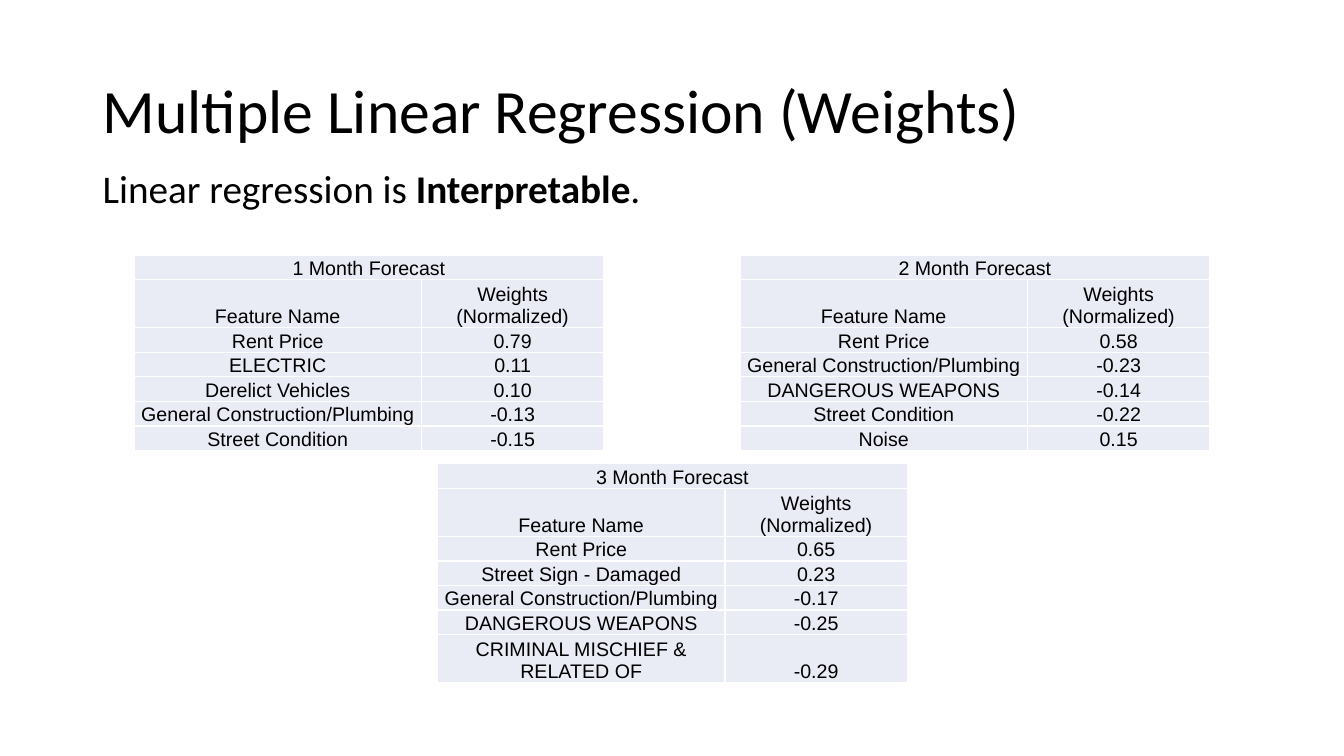
from lxml import etree
from pptx import Presentation
from pptx.dml.color import RGBColor
from pptx.enum.text import MSO_ANCHOR, PP_ALIGN
from pptx.oxml.ns import qn
from pptx.util import Inches, Pt

CENTER = PP_ALIGN.CENTER
TOP, MIDDLE, BOTTOM = MSO_ANCHOR.TOP, MSO_ANCHOR.MIDDLE, MSO_ANCHOR.BOTTOM

HEADER = ("Feature Name", "Weights (Normalized)")
COLUMN_WIDTHS = (2.85, 1.81)
ROW_HEIGHT = 0.22

# Left, top, title and weights of each forecast
FORECASTS = [
    (7.34, 2.53, "2 Month Forecast", [
        ("Rent Price", "0.58"),
        ("General Construction/Plumbing", "-0.23"),
        ("DANGEROUS WEAPONS", "-0.14"),
        ("Street Condition", "-0.22"),
        ("Noise", "0.15"),
    ]),
    (1.33, 2.53, "1 Month Forecast", [
        ("Rent Price", "0.79"),
        ("ELECTRIC", "0.11"),
        ("Derelict Vehicles", "0.10"),
        ("General Construction/Plumbing", "-0.13"),
        ("Street Condition", "-0.15"),
    ]),
    (4.34, 4.6, "3 Month Forecast", [
        ("Rent Price", "0.65"),
        ("Street Sign - Damaged", "0.23"),
        ("General Construction/Plumbing", "-0.17"),
        ("DANGEROUS WEAPONS", "-0.25"),
        ("CRIMINAL MISCHIEF & RELATED OF", "-0.29"),
    ]),
]


def color(hex_string):
    return RGBColor.from_string(hex_string)


class SlideBuilder:
    text_font = "Calibri"
    table_font = "Arial"
    text_color = "000000"
    cell_fill = "E9EBF5"
    border_color = "FFFFFF"

    def __init__(self, slide):
        self.slide = slide

    def set_font(self, paragraph, name, size):
        paragraph.font.name = name
        paragraph.font.size = Pt(size)
        paragraph.font.color.rgb = color(self.text_color)

    def text(self, left, top, width, height, runs, size, anchor=TOP, space_before=0):
        """Add a text box; runs are (text, bold) pairs."""
        box = self.slide.shapes.add_textbox(
            Inches(left), Inches(top), Inches(width), Inches(height))
        frame = box.text_frame
        frame.word_wrap = True
        frame.vertical_anchor = anchor
        paragraph = frame.paragraphs[0]
        paragraph.line_spacing = 0.9
        paragraph.space_before = Pt(space_before)
        self.set_font(paragraph, self.text_font, size)
        for content, bold in runs:
            run = paragraph.add_run()
            run.text = content
            run.font.bold = bold

    def borders(self, cell):
        properties = cell._tc.get_or_add_tcPr()
        for side in ("lnL", "lnR", "lnT", "lnB"):
            line = etree.SubElement(properties, qn(f"a:{side}"), w=str(Pt(1)))
            fill = etree.SubElement(line, qn("a:solidFill"))
            etree.SubElement(fill, qn("a:srgbClr"), val=self.border_color)

    def style_cell(self, cell):
        self.borders(cell)
        cell.fill.solid()
        cell.fill.fore_color.rgb = color(self.cell_fill)
        cell.vertical_anchor = BOTTOM
        cell.margin_left = cell.margin_right = cell.margin_top = Inches(0.01)
        cell.margin_bottom = 0
        paragraph = cell.text_frame.paragraphs[0]
        paragraph.alignment = CENTER
        self.set_font(paragraph, self.table_font, 14)

    def forecast_table(self, left, top, title, weights):
        rows = [(title, ""), HEADER, *weights]
        table = self.slide.shapes.add_table(
            len(rows), len(COLUMN_WIDTHS), Inches(left), Inches(top),
            Inches(sum(COLUMN_WIDTHS)), Inches(ROW_HEIGHT * len(rows))).table
        table.first_row = table.horz_banding = False
        for column, width in zip(table.columns, COLUMN_WIDTHS):
            column.width = Inches(width)
        for row_index, row in enumerate(rows):
            table.rows[row_index].height = Inches(ROW_HEIGHT)
            for column_index, content in enumerate(row):
                cell = table.cell(row_index, column_index)
                cell.text = content
                self.style_cell(cell)
        table.cell(0, 0).merge(table.cell(0, 1))


def main():
    presentation = Presentation()
    presentation.slide_width = Inches(13.33)
    presentation.slide_height = Inches(7.5)
    builder = SlideBuilder(presentation.slides.add_slide(presentation.slide_layouts[6]))

    # Heading and lead sentence
    builder.text(0.92, 0.4, 11.5, 1.45,
                 [("Multiple Linear Regression (Weights)", False)], 44, anchor=MIDDLE)
    builder.text(0.92, 1.63, 11.5, 0.6,
                 [("Linear regression is ", False), ("Interpretable", True), (".", False)],
                 28, space_before=10)

    # Forecast tables
    for forecast in FORECASTS:
        builder.forecast_table(*forecast)

    presentation.save("out.pptx")


if __name__ == "__main__":
    main()
